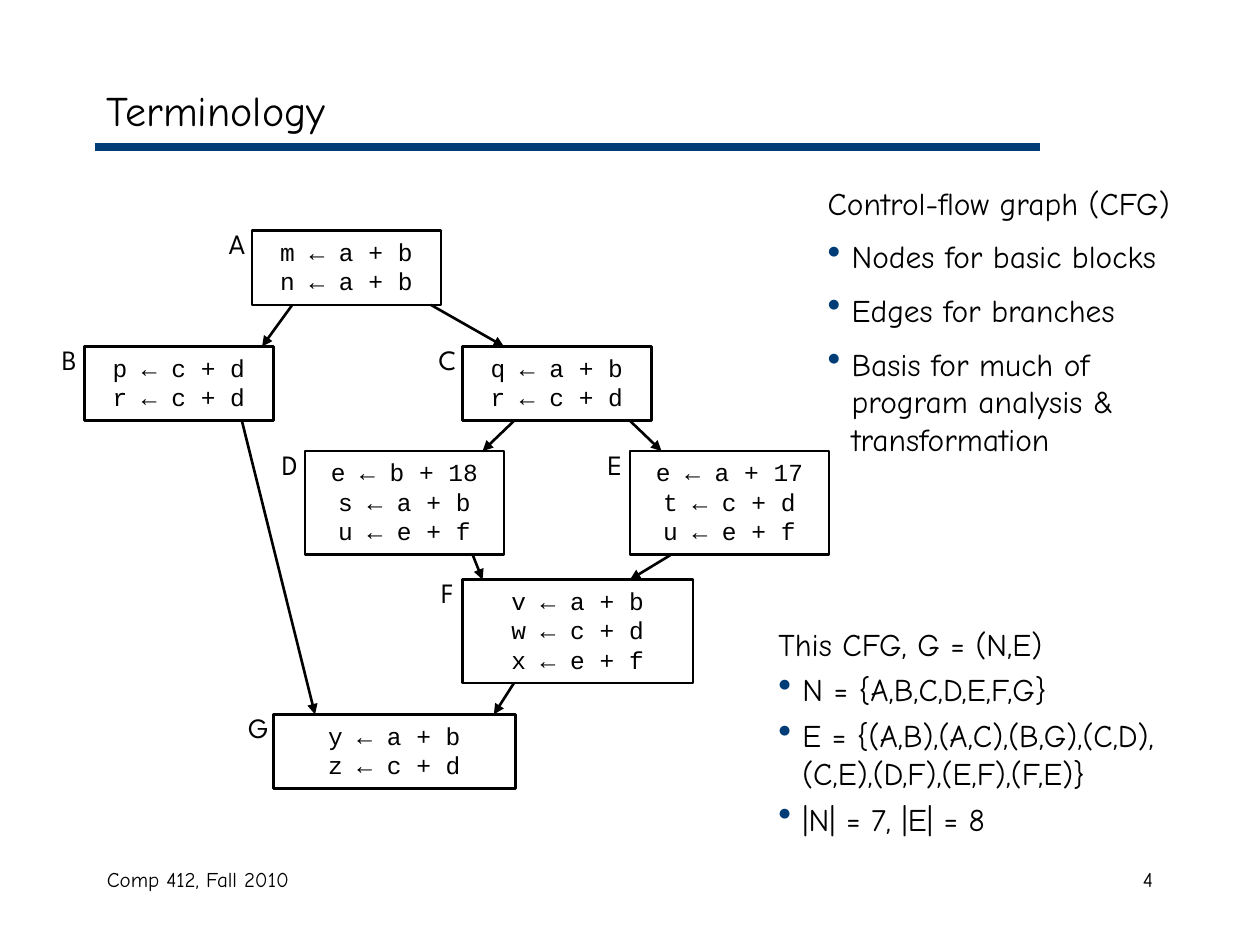
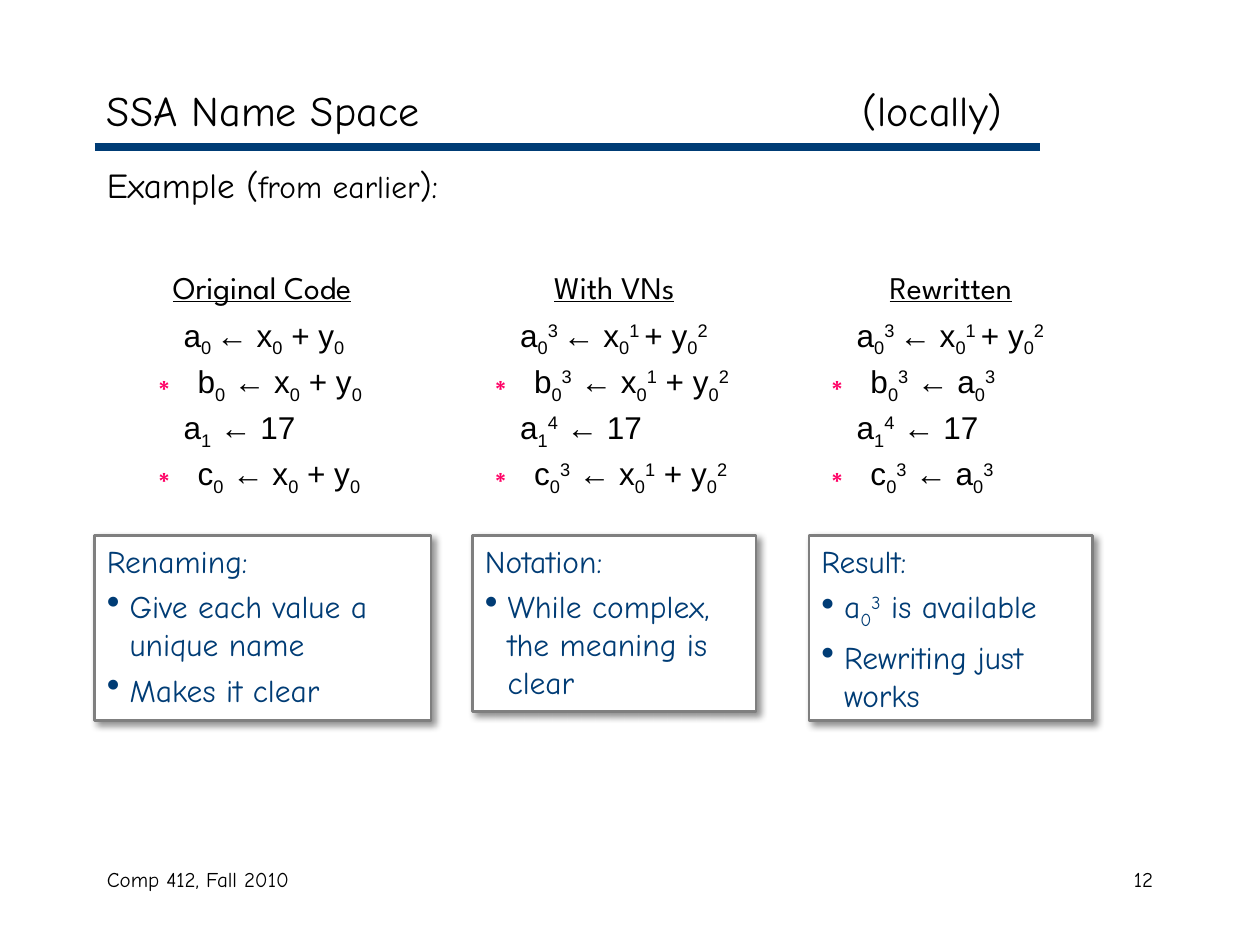
from itertools import groupby

from lxml.etree import SubElement
from pptx import Presentation
from pptx.dml.color import RGBColor
from pptx.enum.shapes import MSO_CONNECTOR, MSO_SHAPE
from pptx.enum.text import MSO_ANCHOR, PP_ALIGN
from pptx.oxml.ns import qn
from pptx.util import Inches, Pt

NAVY = RGBColor(0x00, 0x3C, 0x75)
BLACK = RGBColor(0x00, 0x00, 0x00)
WHITE = RGBColor(0xFF, 0xFF, 0xFF)
GRAY = RGBColor(0x7F, 0x7F, 0x7F)
PINK = RGBColor(0xFF, 0x00, 0x65)

HAND = {"name": "Comic Neue", "size": Pt(18)}
TITLE = {"name": "Comic Neue", "size": Pt(24)}
LEAD = {"name": "Comic Neue", "size": Pt(20)}
FOOT = {"name": "Comic Neue", "size": Pt(12)}
TAG = {"name": "League Spartan", "size": Pt(16)}
HEAD = {"name": "League Spartan", "size": Pt(18), "underline": True}
CODE = {"name": "Courier New", "size": Pt(14)}
MATH = {"name": "Arial", "size": Pt(18)}
SHIFT = {"_": -25000, "^": 30000}

# name: left, top, width, lines of code
NODES = {
    "A": (2, 1.83, 1.5, ["m ← a + b", "n ← a + b"]),
    "B": (0.67, 2.75, 1.5, ["p ← c + d", "r ← c + d"]),
    "C": (3.67, 2.75, 1.5, ["q ← a + b", "r ← c + d"]),
    "D": (2.42, 3.58, 1.58, ["e ← b + 18", "s ← a + b", "u ← e + f"]),
    "E": (5, 3.58, 1.58, ["e ← a + 17", "t ← c + d", "u ← e + f"]),
    "F": (3.67, 4.6, 1.83, ["v ← a + b", "w ← c + d", "x ← e + f"]),
    "G": (2.17, 5.67, 1.92, ["y ← a + b", "z ← c + d"]),
}
# from node, x at its foot, to node, x at its top
EDGES = [
    ("A", 2.32, "B", 2.08), ("A", 3.42, "C", 4), ("B", 1.92, "G", 2.5),
    ("C", 4.08, "D", 3.83), ("C", 5, "E", 5.25), ("D", 3.75, "F", 3.83),
    ("E", 5.33, "F", 5), ("F", 4.08, "G", 3.92),
]
FACTS = [
    ((6.47, 1.41, 3.22, 2.36), 9,
     ["Control-flow graph (CFG)", "Nodes for basic blocks", "Edges for branches",
      "Basis for much of program analysis & transformation"]),
    ((6.08, 4.91, 3.73, 1.83), 4.5,
     ["This CFG, G = (N,E)", "N = {A,B,C,D,E,F,G}",
      "E = {(A,B),(A,C),(B,G),(C,D), (C,E),(D,F),(E,F),(F,E)}",
      "|N| = 7, |E| = 8"]),
]
# head, code left and width, code; note left, width and height, note
STEPS = [
    ("Original Code", 1.08, 2,
     ["a_0_ ← x_0 + y_0", "*b_0 ← x_0 + y_0", "a_1 ← 17", "*c_0 ← x_0 + y_0"],
     0.75, 2.67, 1.47,
     ["Renaming:", "Give each value a unique name", "Makes it clear"]),
    ("With VNs", 3.75, 2.25,
     ["a_0^3^ ← x_0^1^ + y_0^2", "*b_0^3 ← x_0^1 + y_0^2",
      "a_1^4 ← 17", "*c_0^3 ← x_0^1 + y_0^2"],
     3.75, 2.25, 1.4,
     ["Notation:", "While complex, the meaning is clear"]),
    ("Rewritten", 6.42, 2.25,
     ["a_0^3^ ← x_0^1^ + y_0^2", "*b_0^3 ← a_0^3", "a_1^4 ← 17", "*c_0^3 ← a_0^3"],
     6.42, 2.25, 1.47,
     ["Result:", "a_0^3 is available", "Rewriting just works"]),
]


def split(text):
    """Yield (shift, text) parts; _ lowers and ^ raises the next letter."""
    pairs = []
    chars = iter(text)
    for char in chars:
        if char in SHIFT:
            pairs.append((SHIFT[char], next(chars)))
        else:
            pairs.append((0, char))
    for shift, group in groupby(pairs, lambda pair: pair[0]):
        yield shift, "".join(char for _, char in group)


def height(name):
    return 0.13 + 0.23 * len(NODES[name][3])


def add(parent, tag, **attrs):
    return SubElement(parent, qn(tag), {key: str(val) for key, val in attrs.items()})


class Deck:
    def __init__(self):
        self.show = Presentation()
        self.show.slide_width = Inches(10)
        self.show.slide_height = Inches(7.5)
        self.slide = None

    def page(self, title, number):
        self.slide = self.show.slides.add_slide(self.show.slide_layouts[6])
        self.line(0.75, 1.17, 8.25, 1.17, NAVY, 4.5)
        self.text((0.75, 6.83, 3.17, 0.5), ["Comp 412, Fall 2010"], FOOT)
        self.text((7.17, 6.83, 2.08, 0.5), [str(number)], FOOT, align=PP_ALIGN.RIGHT)
        paras = self.text((0.75, 0.58, 8.5, 0.58), [title], TITLE,
                          anchor=MSO_ANCHOR.MIDDLE)
        self.stop(paras[0], 6)

    def line(self, x1, y1, x2, y2, color=BLACK, width=1.5, arrow=False):
        link = self.slide.shapes.add_connector(
            MSO_CONNECTOR.STRAIGHT, Inches(x1), Inches(y1), Inches(x2), Inches(y2))
        link.line.color.rgb = color
        link.line.width = Pt(width)
        props = link._element.spPr
        if arrow:
            add(props.find(qn("a:ln")), "a:tailEnd", type="triangle")
        add(props, "a:effectLst")

    def rect(self, box, color, fill=None):
        shape = self.slide.shapes.add_shape(MSO_SHAPE.RECTANGLE, *map(Inches, box))
        shape.shadow.inherit = False
        if fill is None:
            shape.fill.background()
        else:
            shape.fill.solid()
            shape.fill.fore_color.rgb = fill
        shape.line.color.rgb = color
        shape.line.width = Pt(1.5)
        return shape

    def text(self, box, lines, look, **kind):
        shape = self.slide.shapes.add_textbox(*map(Inches, box))
        return self.put(shape, lines, look, **kind)

    def put(self, shape, lines, look, color=BLACK,
            align=PP_ALIGN.LEFT, anchor=MSO_ANCHOR.TOP):
        """Fill a shape; a line is a string or a list of (string, look) pairs."""
        frame = shape.text_frame
        frame.word_wrap = True
        frame.vertical_anchor = anchor
        for index, line in enumerate(lines):
            para = frame.add_paragraph() if index else frame.paragraphs[0]
            para.alignment = align
            for text, extra in [(line, {})] if isinstance(line, str) else line:
                for shift, part in split(text):
                    self.run(para, part, {"color": color, **look, **extra}, shift)
        return frame.paragraphs

    def run(self, para, text, look, shift):
        run = para.add_run()
        run.text = text
        for key, value in look.items():
            if key == "color":
                run.font.color.rgb = value
            else:
                setattr(run.font, key, value)
        if shift:
            run._r.get_or_add_rPr().set("baseline", str(shift))

    def stop(self, para, pos):
        tabs = add(para._p.get_or_add_pPr(), "a:tabLst")
        add(tabs, "a:tab", pos=Inches(pos), algn="l")

    def bullets(self, paras, gap, indent):
        """Bullet every paragraph after the heading."""
        for para in paras[1:]:
            para.space_before = Pt(gap)
            props = para._p.get_or_add_pPr()
            props.set("marL", str(Inches(indent)))
            props.set("indent", str(-Inches(indent)))
            add(add(props, "a:buClr"), "a:srgbClr", val=NAVY)
            add(props, "a:buSzPct", val=120000)
            add(props, "a:buChar", char="•")

    def node(self, name):
        left, top, width, lines = NODES[name]
        shape = self.rect((left, top, width, height(name)), BLACK)
        self.put(shape, lines, CODE, align=PP_ALIGN.CENTER)
        self.text((left - 0.33, top - 0.08, 0.42, 0.37), [name], TAG,
                  align=PP_ALIGN.CENTER)

    def code(self, left, width, head, lines):
        """Place a heading and code; a leading * marks a redundant line."""
        rows = [[("∗\t", {"color": PINK}), (line[1:], {})] if line[0] == "*" else line
                for line in lines]
        paras = self.text((left, 2.08, width, 1.78), [[(head, HEAD)], *rows], MATH)
        paras[0].alignment = PP_ALIGN.CENTER
        paras[0].space_after = Pt(3.6)
        for para, line in zip(paras[1:], lines):
            para.space_before = Pt(1.8)
            if line[0] == "*":
                self.stop(para, 0.39)
            else:
                para._p.get_or_add_pPr().set("indent", str(Inches(0.28)))

    def note(self, left, width, tall, lines):
        shape = self.rect((left, 4.25, width, tall), GRAY, WHITE)
        cast = add(shape._element.spPr.find(qn("a:effectLst")), "a:outerShdw",
                   blurRad=Pt(4), dist=Pt(3), dir=45 * 60000, algn="tl", rotWithShape=0)
        add(add(cast, "a:srgbClr", val=BLACK), "a:alpha", val=43000)
        self.bullets(self.put(shape, lines, HAND, NAVY), 4.5, 0.18)


def graph(deck):
    deck.page("Terminology", 4)
    for name in NODES:
        deck.node(name)
    for tail, x1, tip, x2 in EDGES:
        deck.line(x1, NODES[tail][1] + height(tail), x2, NODES[tip][1], arrow=True)
    for box, gap, lines in FACTS:
        deck.bullets(deck.text(box, lines, HAND), gap, 0.19)


def names(deck):
    deck.page("SSA Name Space\t(locally)", 12)
    deck.text((0.75, 1.25, 8.5, 0.5),
              [[("Example (", {}), ("from earlier", HAND), ("):", {})]], LEAD)
    for head, left, width, code, side, wide, tall, note in STEPS:
        deck.code(left, width, head, code)
        deck.note(side, wide, tall, note)


def main():
    deck = Deck()
    graph(deck)
    names(deck)
    deck.show.save("out.pptx")


if __name__ == "__main__":
    main()
